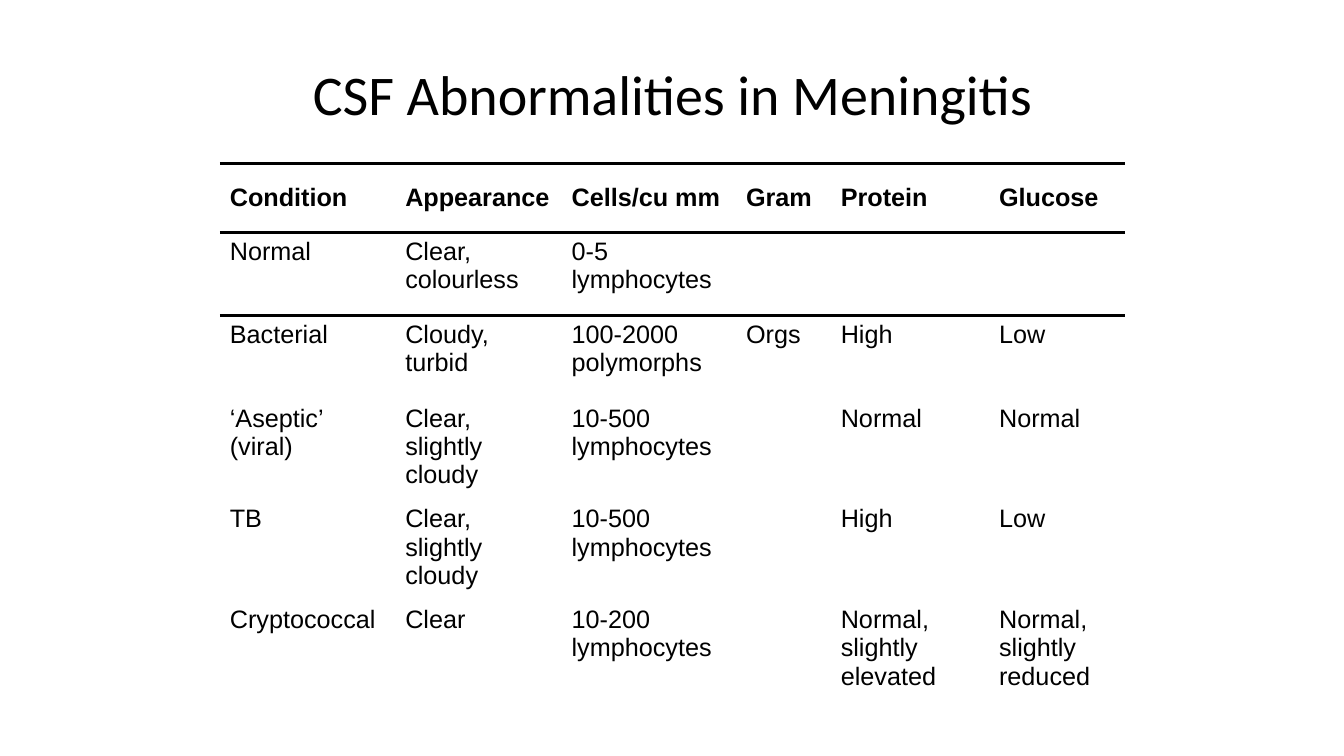
"""Build a slide with a table of CSF findings in meningitis."""
from lxml import etree
from pptx import Presentation
from pptx.dml.color import RGBColor
from pptx.enum.text import MSO_ANCHOR, PP_ALIGN
from pptx.oxml.ns import qn
from pptx.util import Pt

MIDDLE = MSO_ANCHOR.MIDDLE
TOP = MSO_ANCHOR.TOP
CENTER = PP_ALIGN.CENTER
LEFT = PP_ALIGN.LEFT
SCALE = 9144
COLORS = {"text": "000000", "rule": "000000"}
PLAIN = "{2D5ABB26-0587-4C30-8999-92F81FD0307C}"
COLS = [174, 165, 173, 94, 157, 135]
ROWS = [69, 82, 83, 100, 100, 100]
DATA = [
    ["Condition", "Appearance", "Cells/cu mm", "Gram", "Protein", "Glucose"],
    ["Normal", "Clear, colourless", "0-5 lymphocytes", "", "", ""],
    ["Bacterial", "Cloudy, turbid", "100-2000 polymorphs", "Orgs", "High", "Low"],
    ["‘Aseptic’ (viral)", "Clear, slightly cloudy", "10-500 lymphocytes", "",
     "Normal", "Normal"],
    ["TB", "Clear, slightly cloudy", "10-500 lymphocytes", "", "High", "Low"],
    ["Cryptococcal", "Clear", "10-200 lymphocytes", "",
     "Normal, slightly elevated", "Normal, slightly reduced"],
]


def px(size):
    return size * SCALE


def add_run(para, text, face, size, bold=False):
    run = para.add_run()
    run.text = text
    run.font.name = face
    run.font.size = Pt(size)
    run.font.bold = bold
    run.font.color.rgb = RGBColor.from_string(COLORS["text"])


def set_rules(cell, sides):
    props = cell._tc.get_or_add_tcPr()
    for at, side in enumerate(sides):
        line = etree.Element(qn("a:" + side), w=str(Pt(2.25)))
        fill = etree.SubElement(line, qn("a:solidFill"))
        etree.SubElement(fill, qn("a:srgbClr"), val=COLORS["rule"])
        props.insert(at, line)


def add_title(slide, text):
    title = slide.shapes.title
    title.left, title.top = px(67), px(30)
    title.width, title.height = px(1200), px(125)
    frame = title.text_frame
    frame.vertical_anchor = MIDDLE
    para = frame.paragraphs[0]
    para.alignment = CENTER
    add_run(para, text, "Calibri", 40)


def fill_cell(cell, text, head):
    cell.fill.background()
    cell.vertical_anchor = TOP
    cell.margin_left = cell.margin_right = px(10)
    cell.margin_top = cell.margin_bottom = px(20 if head else 5)
    para = cell.text_frame.paragraphs[0]
    para.alignment = LEFT
    if text:
        add_run(para, text, "Arial", 18, head)


def add_grid(slide):
    frame = slide.shapes.add_table(
        len(ROWS), len(COLS), px(218), px(162), px(sum(COLS)), px(sum(ROWS)))
    table = frame.table
    table.horz_banding = False
    table.first_row = False
    table._tbl.tblPr.find(qn("a:tableStyleId")).text = PLAIN
    for col, width in zip(table.columns, COLS):
        col.width = px(width)
    for row, height in zip(table.rows, ROWS):
        row.height = px(height)
    for i, texts in enumerate(DATA):
        for j, text in enumerate(texts):
            cell = table.cell(i, j)
            fill_cell(cell, text, i == 0)
            if i == 0:
                set_rules(cell, ["lnT", "lnB"])
            elif i == 1:
                set_rules(cell, ["lnT"])


def main():
    deck = Presentation()
    deck.slide_width, deck.slide_height = px(1333), px(750)
    slide = deck.slides.add_slide(deck.slide_layouts[5])
    add_title(slide, "CSF Abnormalities in Meningitis")
    add_grid(slide)
    deck.save("out.pptx")


if __name__ == "__main__":
    main()
